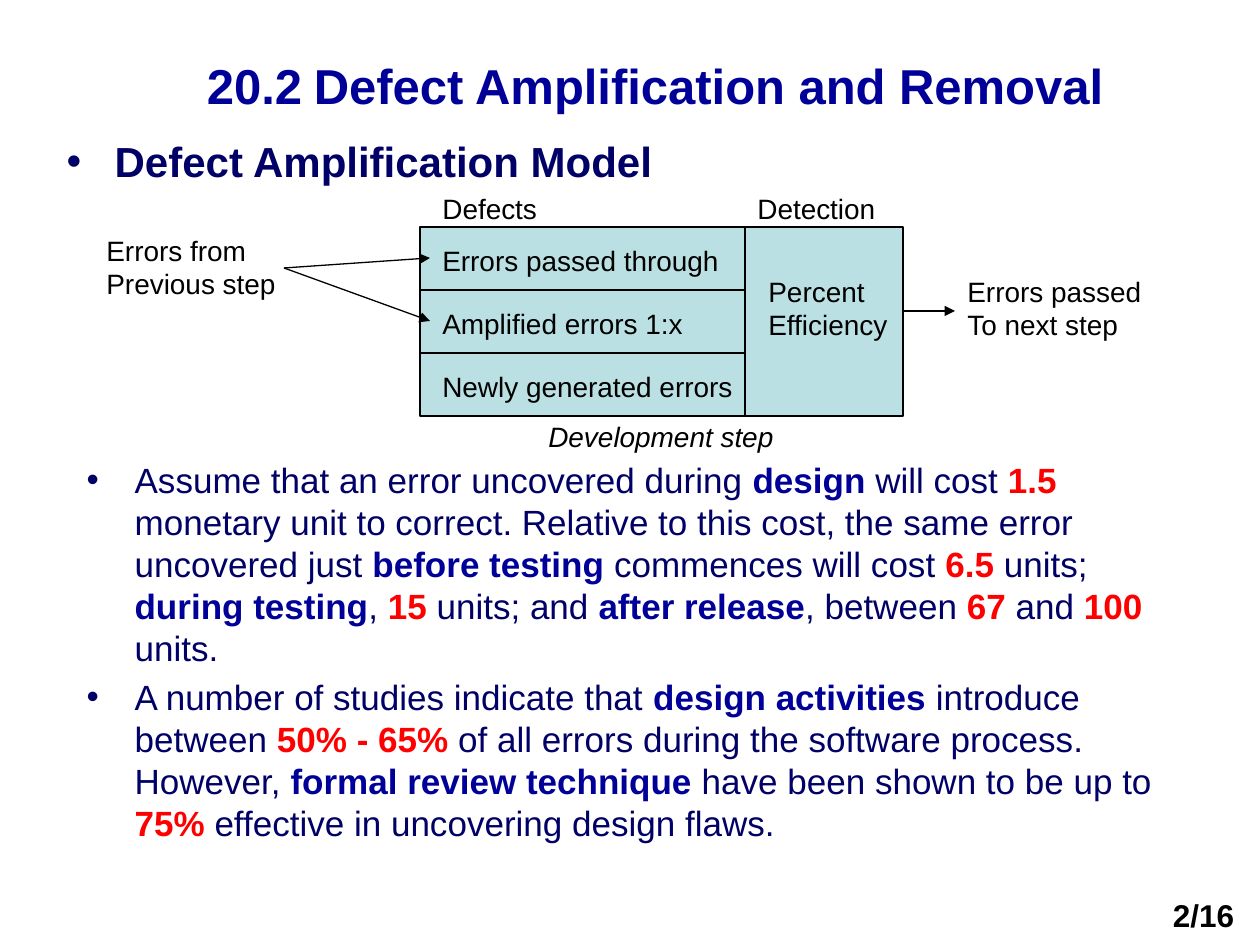
import pptx
import pptx.dml.color
import pptx.enum.shapes
import pptx.enum.text
import pptx.oxml.ns
import pptx.util
from lxml import etree

RGBColor = pptx.dml.color.RGBColor
BLACK = RGBColor(0x00, 0x00, 0x00)
NAVY = RGBColor(0x00, 0x00, 0x66)
BLUE = RGBColor(0x00, 0x00, 0x99)
RED = RGBColor(0xFF, 0x00, 0x00)
TEAL = RGBColor(0xBB, 0xE0, 0xE3)

PX_PER_INCH = 126
FONT = "Arial"
LABEL_SIZE = 16
INDENT = 48

MODEL_LEFT, MODEL_TOP, MODEL_WIDTH = 420, 227, 483
ROW_HEIGHT = 63
DIVIDER_X = 745
LABEL_LEFT = 430
ROWS = [("Errors passed through", 302), ("Amplified errors 1:x", 267),
        ("Newly generated errors", 316)]
MODEL_BOTTOM = MODEL_TOP + ROW_HEIGHT * len(ROWS)

LABELS = [
    ("Defects", 430, 185, 120, 47),
    ("Detection", 745, 185, 144, 47),
    ("Errors from\nPrevious step", 94, 227, 195, 81),
    ("Percent\nEfficiency", 756, 268, 145, 81),
    ("Errors passed\nTo next step", 955, 268, 208, 81),
]
ARROWS = [(284, 268, 430, 258), (284, 268, 430, 321), (902, 311, 955, 311)]

COSTS = [
    ("Assume that an error uncovered during ", NAVY), ("design", BLUE),
    (" will cost ", NAVY), ("1.5", RED),
    (" monetary unit to correct. Relative to this cost, the same error "
     "uncovered just ", NAVY), ("before testing", BLUE),
    (" commences will cost ", NAVY), ("6.5", RED), (" units; ", NAVY),
    ("during testing", BLUE), (", ", NAVY), ("15", RED),
    (" units; and ", NAVY), ("after release", BLUE), (", between ", NAVY),
    ("67", RED), (" and ", NAVY), ("100", RED), (" units.", NAVY),
]
STUDIES = [
    ("A number of studies indicate that ", NAVY), ("design activities", BLUE),
    (" introduce between ", NAVY), ("50% - 65%", RED),
    (" of all errors during the software process. However, ", NAVY),
    ("formal review technique", BLUE),
    (" have been shown to be up to ", NAVY), ("75%", RED),
    (" effective in uncovering design flaws.", NAVY),
]


def px(length):
    return pptx.util.Emu(round(length * 914400 / PX_PER_INCH))


def place(shape, left, top, width, height):
    shape.left, shape.top = px(left), px(top)
    shape.width, shape.height = px(width), px(height)
    shape.text_frame.auto_size = pptx.enum.text.MSO_AUTO_SIZE.NONE


def style(span, size, color, bold=False, italic=False):
    span.font.name = FONT
    span.font.size = pptx.util.Pt(size)
    span.font.color.rgb = color
    span.font.bold = bold
    span.font.italic = italic


def fill_spans(para, spans, size):
    for text, color, *own_size in spans:
        span = para.add_run()
        span.text = text
        style(span, own_size[0] if own_size else size, color, color != NAVY)


def format_bullet(para, space_before):
    para.space_before = pptx.util.Pt(space_before)
    properties = para._p.get_or_add_pPr()
    properties.set("marL", str(px(INDENT)))
    properties.set("indent", str(px(-INDENT)))
    bullet = etree.SubElement(properties, pptx.oxml.ns.qn("a:buChar"))
    bullet.set("char", "•")


def add_label(page, text, left, top, width, height, italic=False):
    box = page.shapes.add_textbox(px(left), px(top), px(width), px(height))
    box.text_frame.word_wrap = False
    box.text_frame.text = text
    for para in box.text_frame.paragraphs:
        for span in para.runs:
            style(span, LABEL_SIZE, BLACK, italic=italic)


def add_line(page, x1, y1, x2, y2, arrow=False):
    line = page.shapes.add_connector(
        pptx.enum.shapes.MSO_CONNECTOR.STRAIGHT, px(x1), px(y1), px(x2), px(y2))
    line.line.color.rgb = BLACK
    line.line.width = pptx.util.Pt(0.75)
    if arrow:
        head = etree.SubElement(line.line._get_or_add_ln(),
                                pptx.oxml.ns.qn("a:tailEnd"))
        head.set("type", "triangle")
    etree.SubElement(line._element.spPr, pptx.oxml.ns.qn("a:effectLst"))


def add_title(page):
    title = page.shapes.title
    place(title, 113, 26, 1084, 117)
    title.text_frame.vertical_anchor = pptx.enum.text.MSO_ANCHOR.MIDDLE
    para = title.text_frame.paragraphs[0]
    para.alignment = pptx.enum.text.PP_ALIGN.CENTER
    fill_spans(para, [("20.2", BLUE), (" ", BLACK, 24),
                      ("Defect Amplification and Removal", BLUE)], 28)


def add_heading(page):
    heading = page.placeholders[1]
    place(heading, 54, 135, 955, 136)
    heading.text_frame.text = "Defect Amplification Model"
    para = heading.text_frame.paragraphs[0]
    para.line_spacing = 0.9
    format_bullet(para, 5)
    style(para.runs[0], 24, NAVY, bold=True)


def add_model(page):
    box = page.shapes.add_shape(
        pptx.enum.shapes.MSO_SHAPE.RECTANGLE, px(MODEL_LEFT), px(MODEL_TOP),
        px(MODEL_WIDTH), px(MODEL_BOTTOM - MODEL_TOP))
    box.shadow.inherit = False
    box.fill.solid()
    box.fill.fore_color.rgb = TEAL
    box.line.color.rgb = BLACK
    box.line.width = pptx.util.Pt(0.75)
    for index, (text, width) in enumerate(ROWS):
        top = MODEL_TOP + index * ROW_HEIGHT
        if index:
            add_line(page, MODEL_LEFT, top, DIVIDER_X, top)
        add_label(page, text, LABEL_LEFT, top + 10, width, 47)
    add_line(page, DIVIDER_X, MODEL_TOP, DIVIDER_X, MODEL_BOTTOM)
    for label in LABELS:
        add_label(page, *label)
    add_label(page, "Development step", 536, 413, 251, 47, italic=True)
    for arrow in ARROWS:
        add_line(page, *arrow, arrow=True)


def add_findings(page):
    findings = page.placeholders[2]
    place(findings, 74, 452, 1131, 437)
    frame = findings.text_frame
    for para, spans in ((frame.paragraphs[0], COSTS),
                        (frame.add_paragraph(), STUDIES)):
        format_bullet(para, 4)
        fill_spans(para, spans, 20)


def add_page_number(page):
    box = page.shapes.add_textbox(px(1147), px(890), px(113), px(55))
    box.text_frame.word_wrap = True
    box.text_frame.text = "2/16"
    para = box.text_frame.paragraphs[0]
    para.alignment = pptx.enum.text.PP_ALIGN.CENTER
    style(para.runs[0], 18, BLACK, bold=True)


def main():
    deck = pptx.Presentation()
    deck.slide_width = pptx.util.Inches(10)
    deck.slide_height = pptx.util.Inches(7.5)
    page = deck.slides.add_slide(deck.slide_layouts.get_by_name("Two Content"))
    add_title(page)
    add_heading(page)
    add_model(page)
    add_findings(page)
    add_page_number(page)
    deck.save("out.pptx")


if __name__ == "__main__":
    main()
